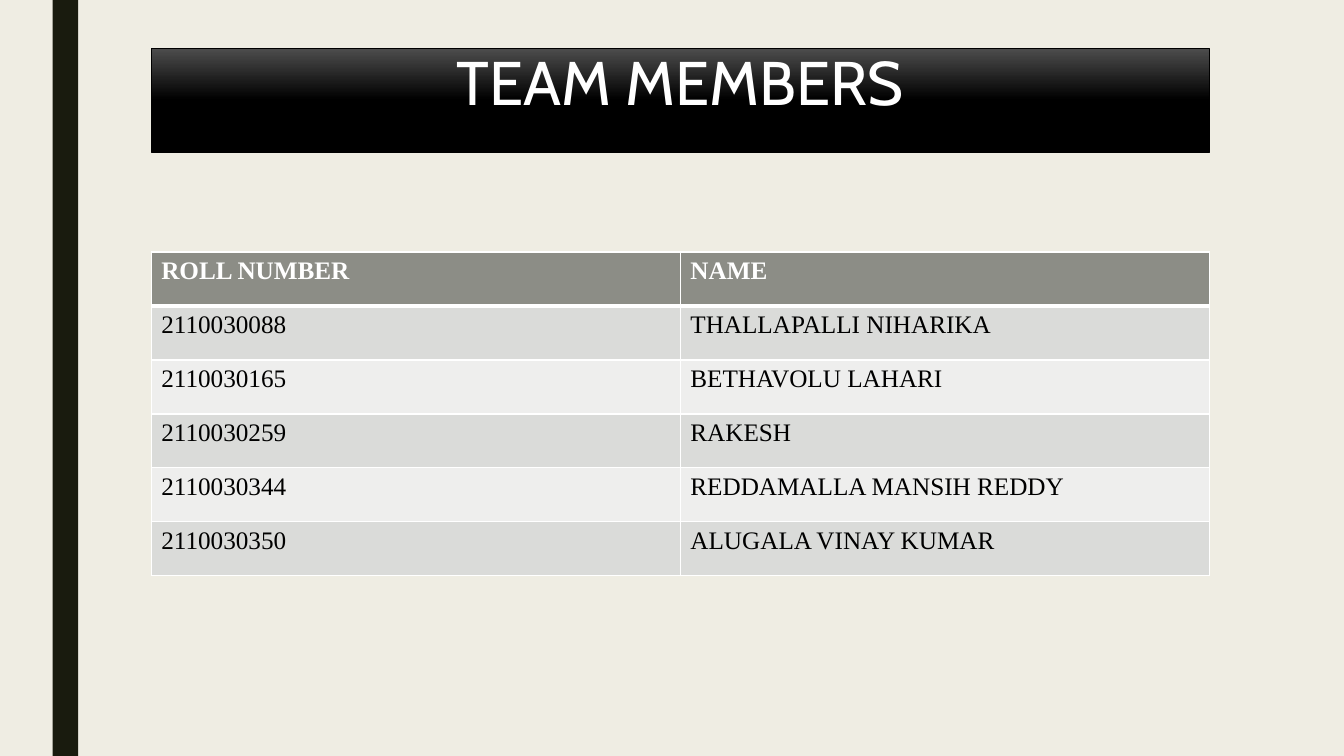
from copy import deepcopy

from lxml import etree
from pptx import Presentation
from pptx.dml.color import RGBColor
from pptx.enum import shapes, text
from pptx.oxml import ns
from pptx.util import Cm, Pt

# Content
TITLE = "TEAM MEMBERS"
MEMBERS = [
    ("ROLL NUMBER", "NAME"),
    ("2110030088", "THALLAPALLI NIHARIKA"),
    ("2110030165", "BETHAVOLU LAHARI"),
    ("2110030259", "RAKESH"),
    ("2110030344", "REDDAMALLA MANSIH REDDY"),
    ("2110030350", "ALUGALA VINAY KUMAR"),
]

# Layout and colours
LEFT, WIDTH = Cm(3.81), Cm(26.67)
ROW_HEIGHT = Cm(1.36)
HEADER_FILL, BAND_FILLS = "8C8D86", ("EEEEED", "DADBD9")
THIN, THICK = Pt(1), Pt(3)


def rgb(value):
    return RGBColor.from_string(value)


def add_run(p, words, font, size, color, bold=False):
    r = p.add_run()
    r.text = words
    r.font.name, r.font.size, r.font.bold = font, Pt(size), bold
    r.font.color.rgb = rgb(color)


def add_bar(s, left, top, width, height):
    sp = s.shapes.add_shape(shapes.MSO_SHAPE.RECTANGLE, left, top, width, height)
    sp.shadow.inherit = False
    return sp


def set_borders(cell, widths):
    tc_pr = cell._tc.get_or_add_tcPr()
    for side, width in zip("LRTB", widths):
        ln = etree.SubElement(tc_pr, ns.qn(f"a:ln{side}"), w=str(width))
        fill = etree.SubElement(ln, ns.qn("a:solidFill"))
        etree.SubElement(fill, ns.qn("a:srgbClr"), val="FFFFFF")


def add_title(s):
    sp = add_bar(s, LEFT, Cm(1.21), WIDTH, Cm(2.62))
    sp.line.color.rgb, sp.line.width = rgb("000000"), Pt(0.5)

    # Dark gradient, solid black from the middle down
    sp.fill.gradient()
    sp.fill.gradient_angle = 270
    stops = sp.fill.gradient_stops
    for stop, color, position in zip(stops, ("4D4D4D", "000000"), (0, 0.5)):
        stop.color.rgb, stop.position = rgb(color), position
    middle = stops[1]._gs
    middle.addnext(deepcopy(middle))
    sp.fill.gradient_stops[2].position = 1

    tf = sp.text_frame
    tf.word_wrap = True
    tf.vertical_anchor = text.MSO_ANCHOR.TOP
    p = tf.paragraphs[0]
    p.alignment, p.line_spacing = text.PP_ALIGN.CENTER, 0.89
    add_run(p, TITLE, "Cabin", 44, "FFFFFF")


def add_members(s):
    rows, cols = len(MEMBERS), len(MEMBERS[0])
    table = s.shapes.add_table(rows, cols, LEFT, Cm(6.35), WIDTH, ROW_HEIGHT * rows).table
    for i, member in enumerate(MEMBERS):
        header = i == 0
        top, bottom = THICK if i == 1 else THIN, THICK if header else THIN
        for j, words in enumerate(member):
            cell = table.cell(i, j)
            set_borders(cell, (THIN, THIN, top, bottom))
            cell.fill.solid()
            cell.fill.fore_color.rgb = rgb(HEADER_FILL if header else BAND_FILLS[i % 2])
            add_run(cell.text_frame.paragraphs[0], words, "Times New Roman", 18,
                    "FFFFFF" if header else "000000", header)


def main():
    prs = Presentation()
    prs.slide_width, prs.slide_height = Cm(33.87), Cm(19.05)
    s = prs.slides.add_slide(prs.slide_layouts[6])
    s.background.fill.solid()
    s.background.fill.fore_color.rgb = rgb("EFEDE3")

    # Side stripe
    stripe = add_bar(s, Cm(1.33), 0, Cm(0.64), prs.slide_height)
    stripe.fill.solid()
    stripe.fill.fore_color.rgb = rgb("191B0E")
    stripe.line.fill.background()

    add_title(s)
    add_members(s)
    prs.save("out.pptx")


if __name__ == "__main__":
    main()
